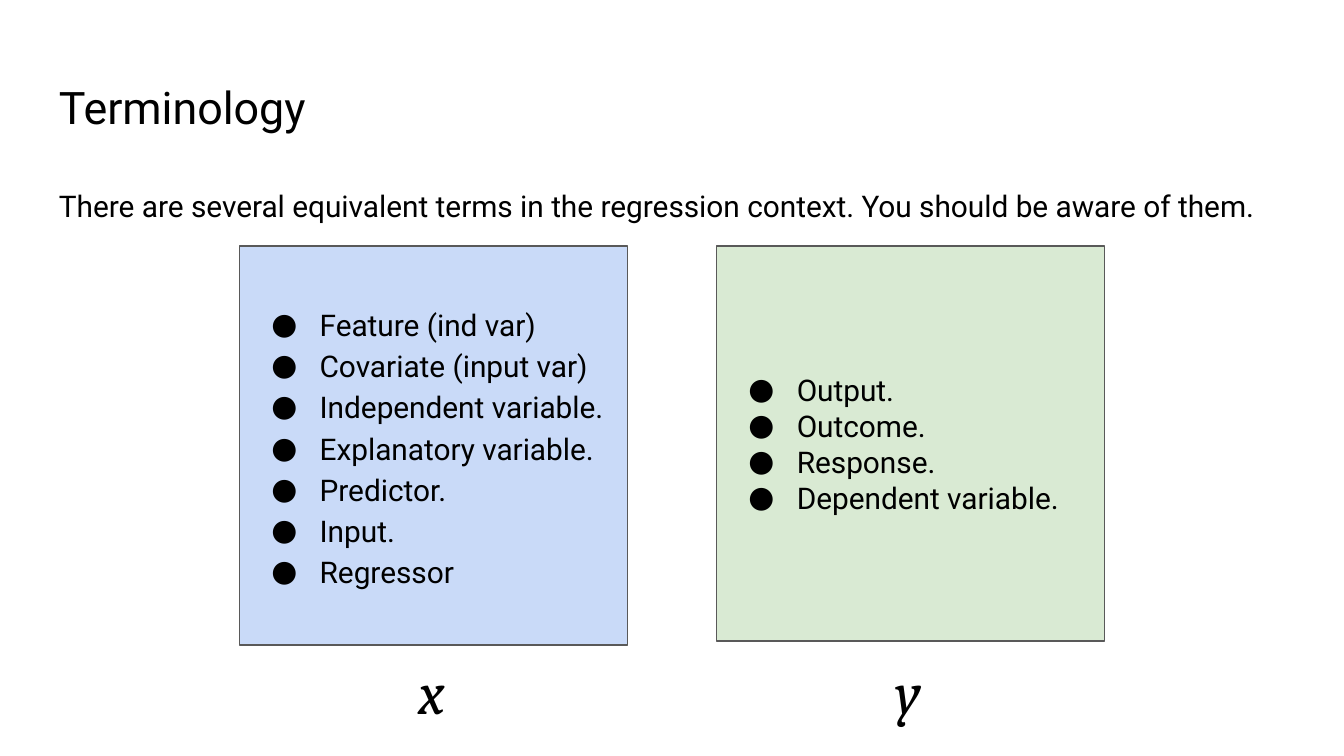
from pptx import Presentation
from pptx.dml.color import RGBColor as RGB
from pptx.enum.shapes import MSO_SHAPE as Kind
from pptx.enum.text import MSO_ANCHOR as Anchor, PP_ALIGN as Align
from pptx.oxml.ns import qn
from pptx.util import Inches, Pt
from lxml.etree import SubElement as Sub

WIDE = 10
X_TERMS = [
    "Feature (ind var)",
    "Covariate (input var)",
    "Independent variable.",
    "Explanatory variable.",
    "Predictor.",
    "Input.",
    "Regressor",
]
Y_TERMS = ["Output.", "Outcome.", "Response.", "Dependent variable."]
INTRO = ("There are several equivalent terms in the regression context. "
         "You should be aware of them.")


def color(code):
    """Turn a hex string into a colour."""
    return RGB.from_string(code)


def bullet(par, font):
    """Give a paragraph a hanging round bullet."""
    props = par._p.get_or_add_pPr()
    props.set("marL", str(Inches(0.5)))
    props.set("indent", str(Inches(-0.36)))
    tint = Sub(Sub(props, qn("a:buClr")), qn("a:srgbClr"))
    tint.set("val", "000000")
    Sub(props, qn("a:buFont")).set("typeface", font)
    Sub(props, qn("a:buChar")).set("char", "●")


def write(shape, *lines, size=16, font="Roboto", italic=False, space=1.0,
          after=0, anchor=Anchor.TOP, dots=False):
    """Fill a shape with one paragraph for each line."""
    frame = shape.text_frame
    frame.word_wrap = True
    frame.vertical_anchor = anchor
    frame.margin_left = frame.margin_right = Inches(0.1)
    frame.margin_top = frame.margin_bottom = Inches(0.1)
    for i, line in enumerate(lines):
        par = frame.add_paragraph() if i else frame.paragraphs[0]
        par.alignment = Align.LEFT
        par.line_spacing = space
        par.space_after = Pt(after)
        if dots:
            bullet(par, font)
        run = par.add_run()
        run.text = line
        run.font.size = Pt(size)
        run.font.name = font
        run.font.italic = italic
        run.font.color.rgb = color("000000")


def label(slide, box, text, **style):
    """Place a line of text in a box."""
    write(slide.shapes.add_textbox(*map(Inches, box)), text, **style)


def head(slide, box):
    """Place the title and the intro below it."""
    left, top, wide, high = box
    label(slide, (left, top, wide, 0.63), "Terminology", size=24)
    label(slide, (left, top + 0.77, wide, high - 0.77), INTRO,
          space=1.15, after=8)


def card(slide, box, terms, fill, sign, space):
    """Place a panel of terms with its symbol centred below."""
    left, top, wide, high = box
    panel = slide.shapes.add_shape(Kind.RECTANGLE, *map(Inches, box))
    panel.shadow.inherit = False
    panel.fill.solid()
    panel.fill.fore_color.rgb = color(fill)
    panel.line.color.rgb = color("595959")
    panel.line.width = Pt(0.75)
    write(panel, *terms, space=space, anchor=Anchor.MIDDLE, dots=True)
    span = 0.42
    label(slide, (left + (wide - span) / 2, top + 2.86, span, 0.68), sign,
          size=32, font="Cambria", italic=True, space=1.15, after=8)


def main():
    """Build the slide and save it."""
    deck = Presentation()
    deck.slide_width, deck.slide_height = Inches(WIDE), Inches(WIDE * 9 / 16)
    slide = deck.slides.add_slide(deck.slide_layouts[6])
    head(slide, (0.34, 0.49, 9.32, 1.56))
    card(slide, (1.78, 1.83, 2.89, 2.97), X_TERMS, "C9DAF8", "x", 1.15)
    card(slide, (5.33, 1.83, 2.89, 2.94), Y_TERMS, "D9EAD3", "y", 1.0)
    deck.save("out.pptx")


if __name__ == "__main__":
    main()
